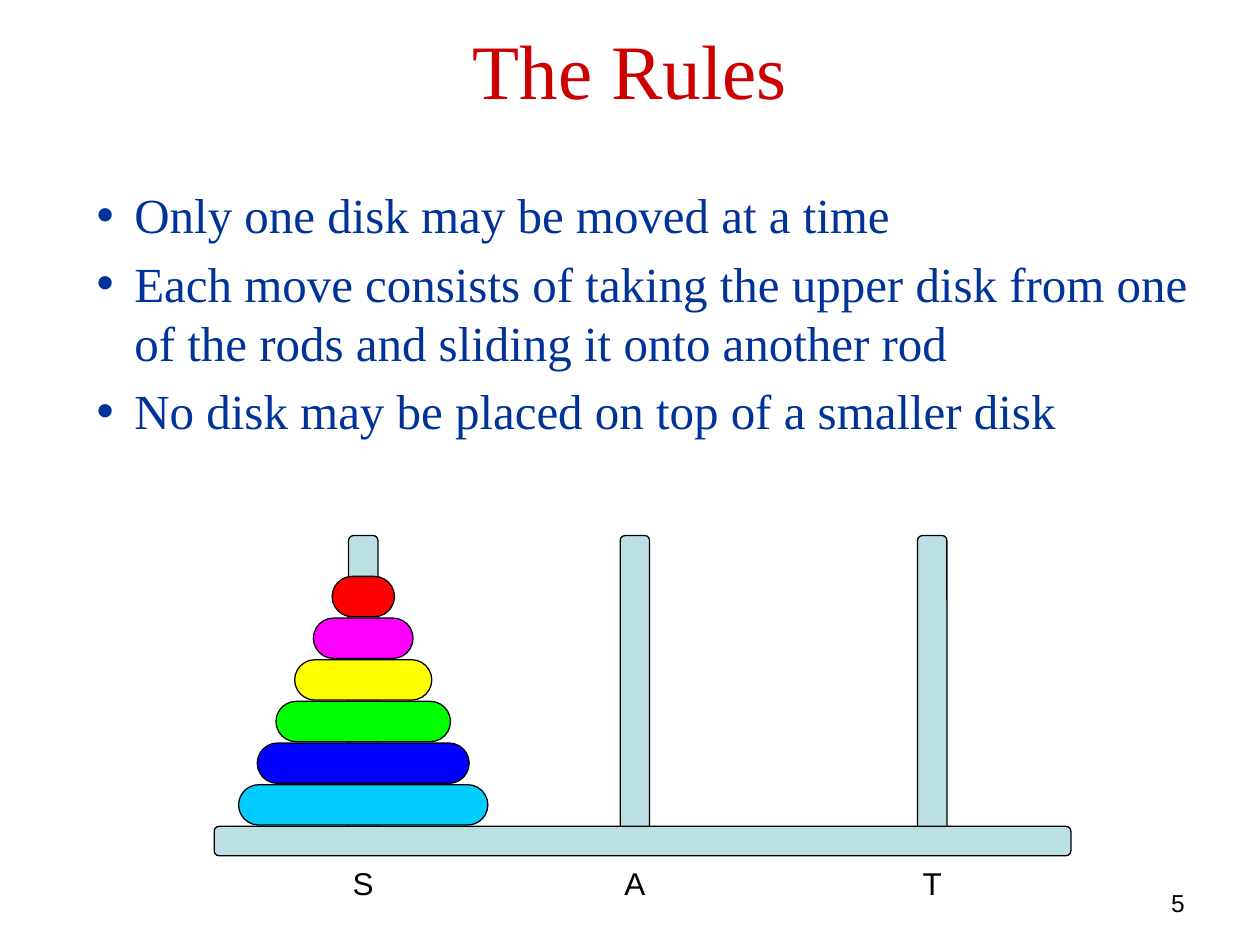
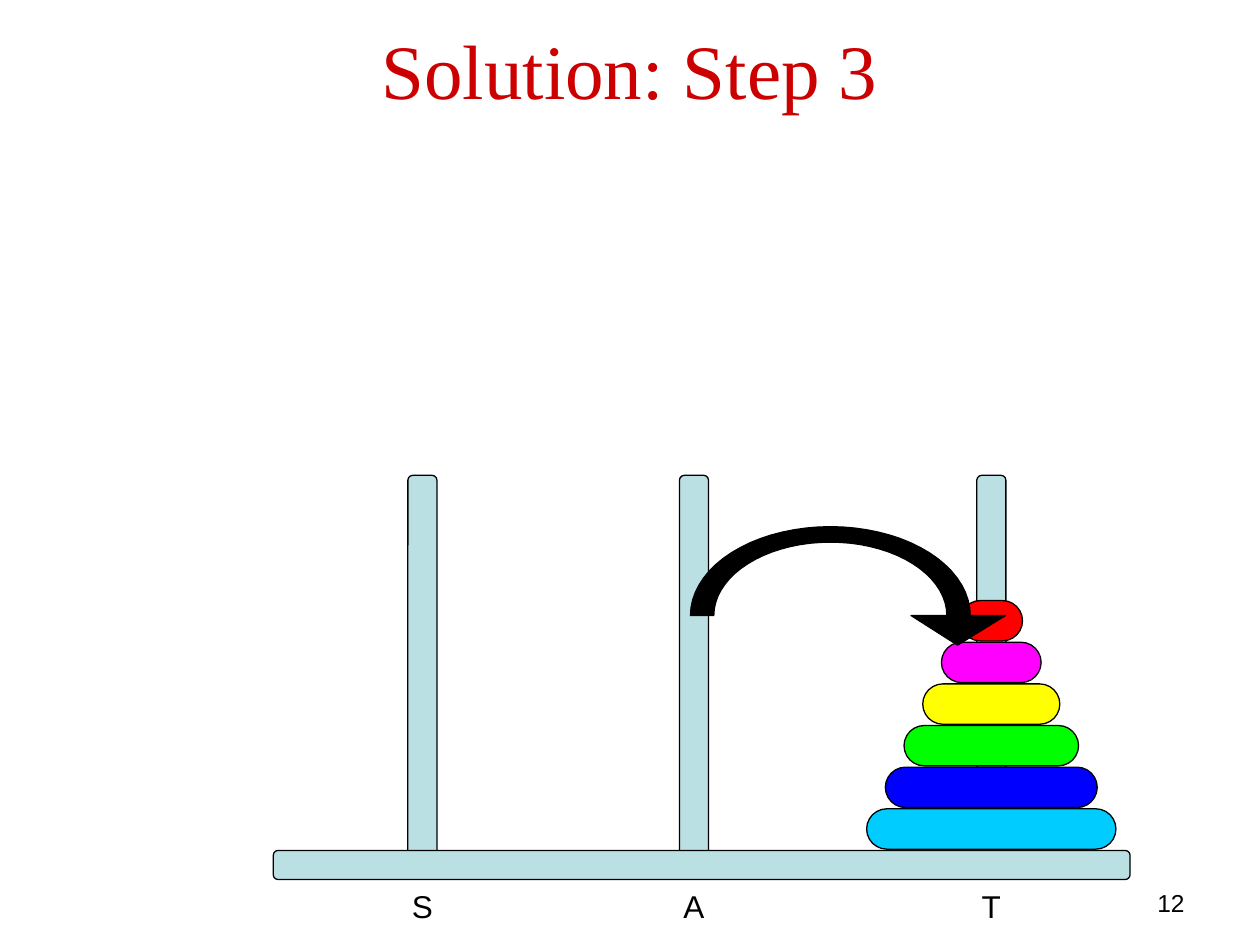
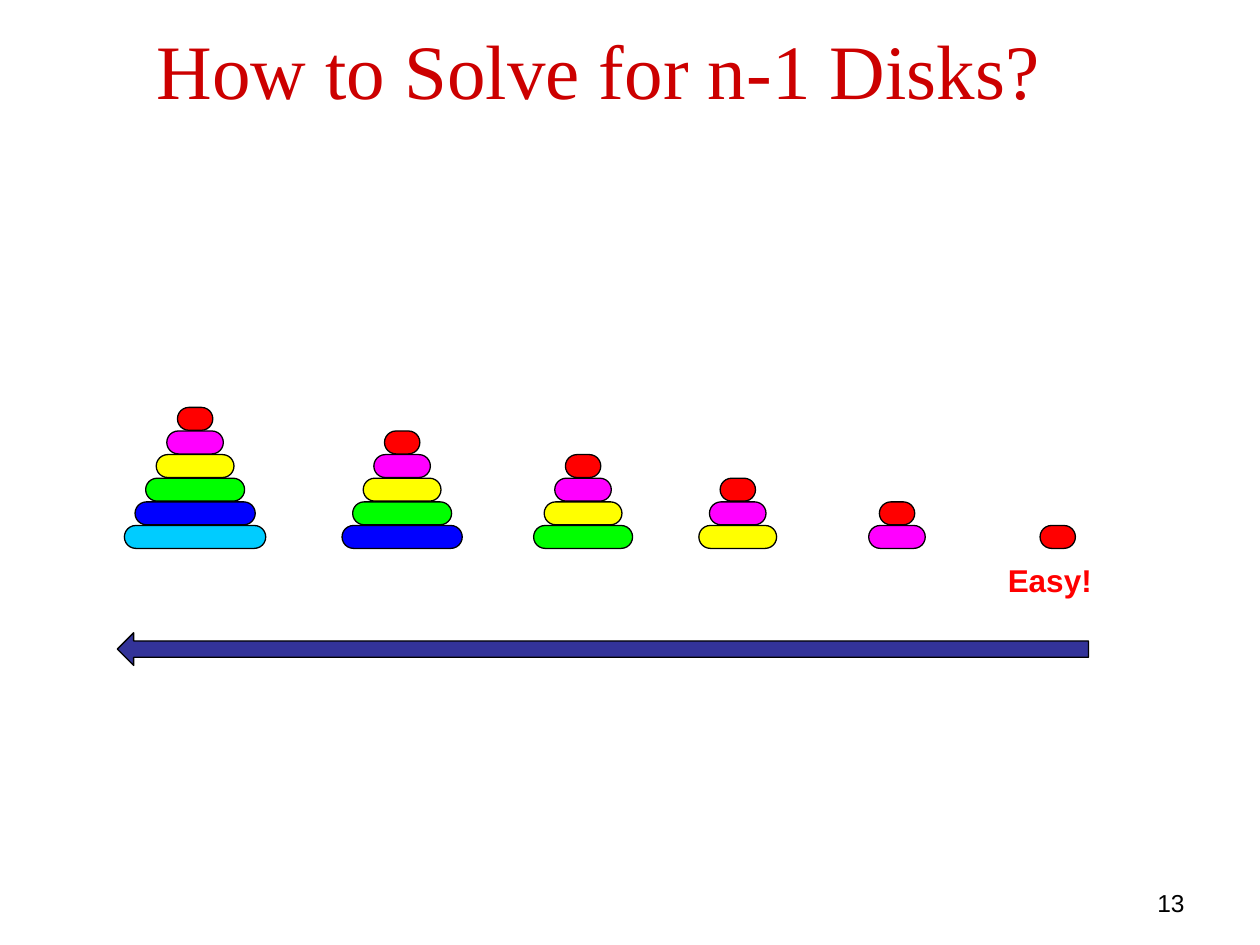
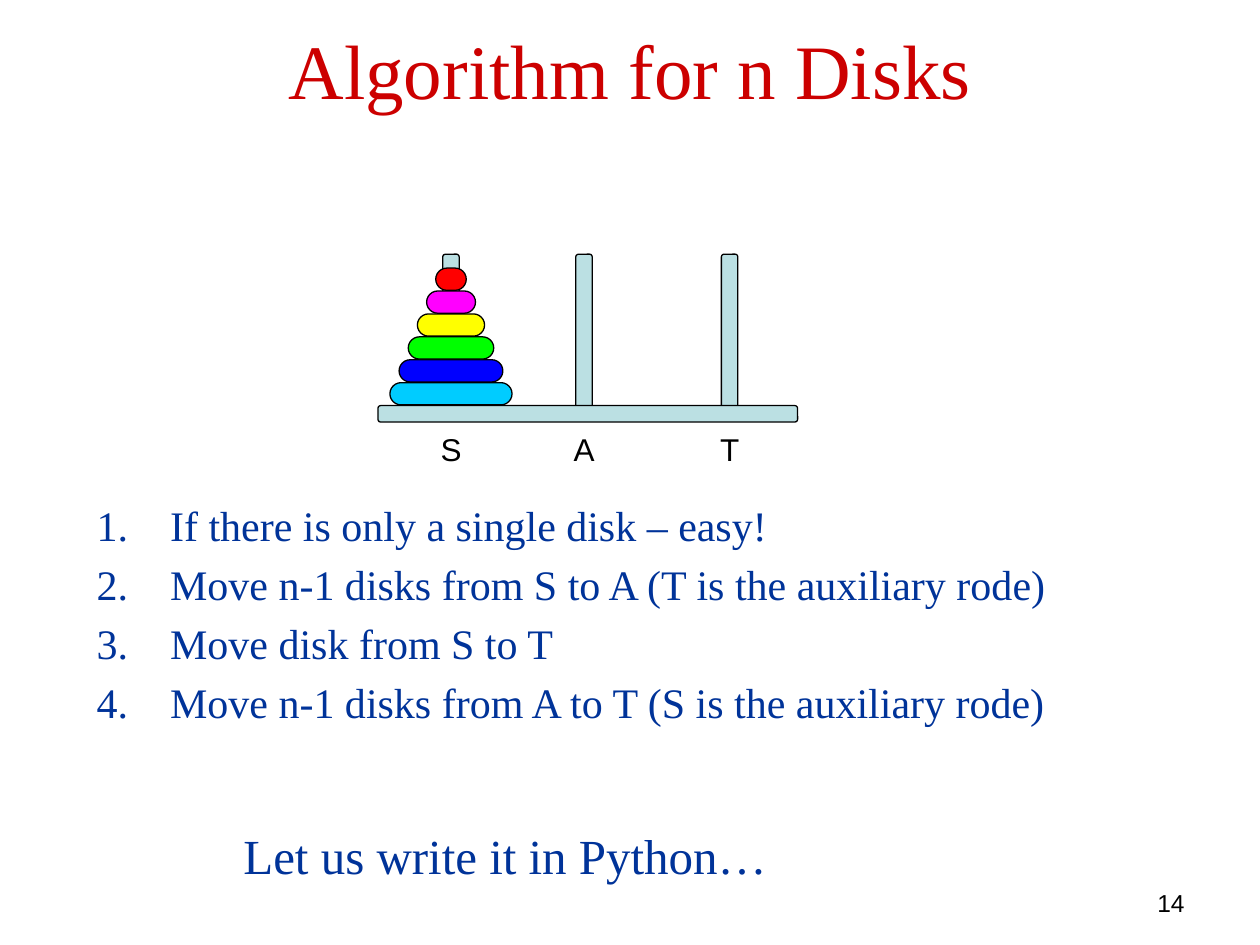
import collections
import math

import lxml.etree
import pptx
import pptx.dml.color
import pptx.enum.shapes
import pptx.enum.text
import pptx.oxml.ns
import pptx.util

Pt = pptx.util.Pt
RGB = pptx.dml.color.RGBColor
SHAPE = pptx.enum.shapes.MSO_SHAPE
ALIGN = pptx.enum.text.PP_ALIGN
ANCHOR = pptx.enum.text.MSO_ANCHOR

# Shared look
TITLE_RED = RGB(0xCC, 0x00, 0x00)
TEXT_BLUE = RGB(0x00, 0x33, 0x99)
ARROW_BLUE = RGB(0x33, 0x33, 0x99)
WOOD = RGB(0xBB, 0xE0, 0xE3)
BLACK = RGB(0x00, 0x00, 0x00)
RED = RGB(0xFF, 0x00, 0x00)
MAGENTA = RGB(0xFF, 0x00, 0xFF)
YELLOW = RGB(0xFF, 0xFF, 0x00)
GREEN = RGB(0x00, 0xFF, 0x00)
BLUE = RGB(0x00, 0x00, 0xFF)
CYAN = RGB(0x00, 0xCC, 0xFF)
DISK_COLORS = [RED, MAGENTA, YELLOW, GREEN, BLUE, CYAN]  # smallest first
SERIF, SANS = "Times New Roman", "Arial"

# Proportions of the puzzle
ROD_POSITIONS = {"S": 0.174, "A": 0.491, "T": 0.838}
STACK_TO_BASE = 0.291
LABEL_TO_BASE = 0.112

# All boxes are in points
Box = collections.namedtuple("Box", "left top width height")
TITLE_BOX = Box(36, -6, 648, 90)
NUMBER_BOX = Box(516, 504, 168, 18)


def in_points(box):
    return [Pt(length) for length in box]


def format_text(frame, size, font, color, align=ALIGN.LEFT, bold=False):
    frame.word_wrap = True
    for paragraph in frame.paragraphs:
        paragraph.alignment = align
        for run in paragraph.runs:
            run.font.size = Pt(size)
            run.font.name = font
            run.font.bold = bold
            run.font.color.rgb = color


def add_label(slide, box, text, size, font, color, **style):
    label = slide.shapes.add_textbox(*in_points(box))
    label.text_frame.text = text
    format_text(label.text_frame, size, font, color, **style)


def paint(shape, color):
    shape.shadow.inherit = False
    shape.fill.solid()
    shape.fill.fore_color.rgb = color
    shape.line.color.rgb = BLACK
    shape.line.width = Pt(0.75)


def add_solid(slide, kind, box, color, *adjustments):
    solid = slide.shapes.add_shape(kind, *in_points(box))
    for index, value in enumerate(adjustments):
        solid.adjustments[index] = value
    paint(solid, color)
    return solid


def fill_placeholder(placeholder, box, text):
    placeholder.left, placeholder.top, placeholder.width, placeholder.height = in_points(box)
    placeholder.text_frame.text = text
    placeholder.text_frame.auto_size = pptx.enum.text.MSO_AUTO_SIZE.NONE
    return placeholder.text_frame


def start_slide(deck, layout, title, number, title_box=TITLE_BOX):
    slide = deck.slides.add_slide(deck.slide_layouts.get_by_name(layout))
    heading = fill_placeholder(slide.shapes.title, title_box, title)
    heading.vertical_anchor = ANCHOR.MIDDLE
    format_text(heading, 44, SERIF, TITLE_RED, ALIGN.CENTER)
    add_label(slide, NUMBER_BOX, str(number), 14, SANS, BLACK, align=ALIGN.RIGHT)
    return slide


def fill_list(slide, box, items, size, indent, marker, **marker_attributes):
    frame = fill_placeholder(slide.placeholders[1], box, "\n".join(items))
    frame.vertical_anchor = ANCHOR.TOP
    format_text(frame, size, SERIF, TEXT_BLUE)
    for paragraph in frame.paragraphs:
        paragraph.space_before = Pt(0.2 * size)
        properties = paragraph._p.get_or_add_pPr()
        properties.set("marL", str(Pt(indent)))
        properties.set("indent", str(-Pt(indent)))
        lxml.etree.SubElement(properties, pptx.oxml.ns.qn(marker), marker_attributes)


def draw_stack(slide, box, count):
    """Pile the smallest disks at the foot of a box sized for all six."""
    pitch = box.height / len(DISK_COLORS)
    centre = box.left + box.width / 2
    for rank in reversed(range(count)):
        width = box.width * (0.25 + 0.15 * rank)
        top = box.top + box.height - (count - rank) * pitch
        disk = Box(centre - width / 2, top, width, 0.97 * pitch)
        add_solid(slide, SHAPE.ROUNDED_RECTANGLE, disk, DISK_COLORS[rank], 0.5)


def draw_puzzle(slide, box, thickness, pitch, loaded_rod):
    """Three rods on a base that fills the foot of the box."""
    bottom = box.top + box.height
    base_top = bottom - thickness
    centres = {name: box.left + share * box.width for name, share in ROD_POSITIONS.items()}

    # Rods lie on their side and are turned upright
    length = box.height - 0.36 * thickness
    for centre in centres.values():
        lying = Box(centre - length / 2, box.top + (length - thickness) / 2, length, thickness)
        rod = add_solid(slide, SHAPE.ROUNDED_RECTANGLE, lying, WOOD, 0.167)
        rod.rotation = 270
    base = Box(box.left, base_top, box.width, thickness)
    add_solid(slide, SHAPE.ROUNDED_RECTANGLE, base, WOOD, 0.167)

    # Disks
    width, height = STACK_TO_BASE * box.width, len(DISK_COLORS) * pitch
    pile = Box(centres[loaded_rod] - width / 2, base_top - height, width, height)
    draw_stack(slide, pile, len(DISK_COLORS))

    # Rod names
    width = LABEL_TO_BASE * box.width
    for name, centre in centres.items():
        label = Box(centre - width / 2, bottom + 1, width, 28.8)
        add_label(slide, label, name, 18, SANS, BLACK, align=ALIGN.CENTER)


def draw_move_arrow(slide, box):
    """Half-ellipse band ending in a downward arrowhead."""
    middle, foot = 0.444, 0.75

    def arc(radius_x, radius_y, degrees):
        return [(middle + radius_x * math.cos(math.radians(angle)),
                 foot - radius_y * math.sin(math.radians(angle))) for angle in degrees]

    outline = arc(0.37, 0.62, range(0, 181, 5)) + arc(0.444, 0.75, range(180, -1, -5))
    outline += [(1, foot), (0.848, 1), (0.7, foot)]
    points = [(Pt(box.left + x * box.width), Pt(box.top + y * box.height)) for x, y in outline]
    builder = slide.shapes.build_freeform(*points[0])
    builder.add_line_segments(points[1:], close=True)
    paint(builder.convert_to_shape(), BLACK)


def rules_slide(deck):
    slide = start_slide(deck, "Title and Content", "The Rules", 5)
    rules = [
        "Only one disk may be moved at a time",
        "Each move consists of taking the upper disk from one of the rods "
        "and sliding it onto another rod",
        "No disk may be placed on top of a smaller disk",
    ]
    fill_list(slide, Box(48, 102, 642, 414), rules, 28, 21.6, "a:buChar", char="•")
    draw_puzzle(slide, Box(122.4, 306, 489.6, 183), 16.8, 23.8, "S")


def step_slide(deck):
    slide = start_slide(deck, "Title Only", "Solution: Step 3", 12)
    draw_puzzle(slide, Box(156.2, 271.6, 489.6, 231), 16.6, 23.8, "T")
    draw_move_arrow(slide, Box(394.6, 301, 180, 67.7))


def smaller_stacks_slide(deck):
    slide = start_slide(deck, "Title Only", "How to Solve for n-1 Disks?", 13,
                        Box(60, -6, 564, 90))
    stack_width, stack_height = 80.8, 81
    for removed, centre in enumerate([111.5, 229.8, 333.2, 421.6, 512.6, 604.4]):
        stack = Box(centre - stack_width / 2, 232.8, stack_width, stack_height)
        draw_stack(slide, stack, len(DISK_COLORS) - removed)
    add_label(slide, Box(568.8, 316.8, 67.7, 28.8), "Easy!", 18, SANS, RED, bold=True)
    add_solid(slide, SHAPE.LEFT_ARROW, Box(67, 361.6, 555, 18.7), ARROW_BLUE, 0.5, 0.5)


def algorithm_slide(deck):
    slide = start_slide(deck, "Title and Content", "Algorithm for n Disks", 14)
    draw_puzzle(slide, Box(216, 145.2, 239.8, 96), 9.4, 13.1, "S")
    steps = [
        " If there is only a single disk – easy!",
        " Move n-1 disks from S to A (T is the auxiliary rode)",
        " Move disk from S to T",
        " Move n-1 disks from A to T (S is the auxiliary rode)",
    ]
    fill_list(slide, Box(48, 282, 642, 156), steps, 24, 36, "a:buAutoNum", type="arabicPeriod")
    add_label(slide, Box(132, 468, 372, 41), "Let us write it in Python…", 28, SERIF, TEXT_BLUE)


def main():
    deck = pptx.Presentation()
    deck.slide_width, deck.slide_height = Pt(720), Pt(540)
    rules_slide(deck)
    step_slide(deck)
    smaller_stacks_slide(deck)
    algorithm_slide(deck)
    deck.save("out.pptx")


if __name__ == "__main__":
    main()
